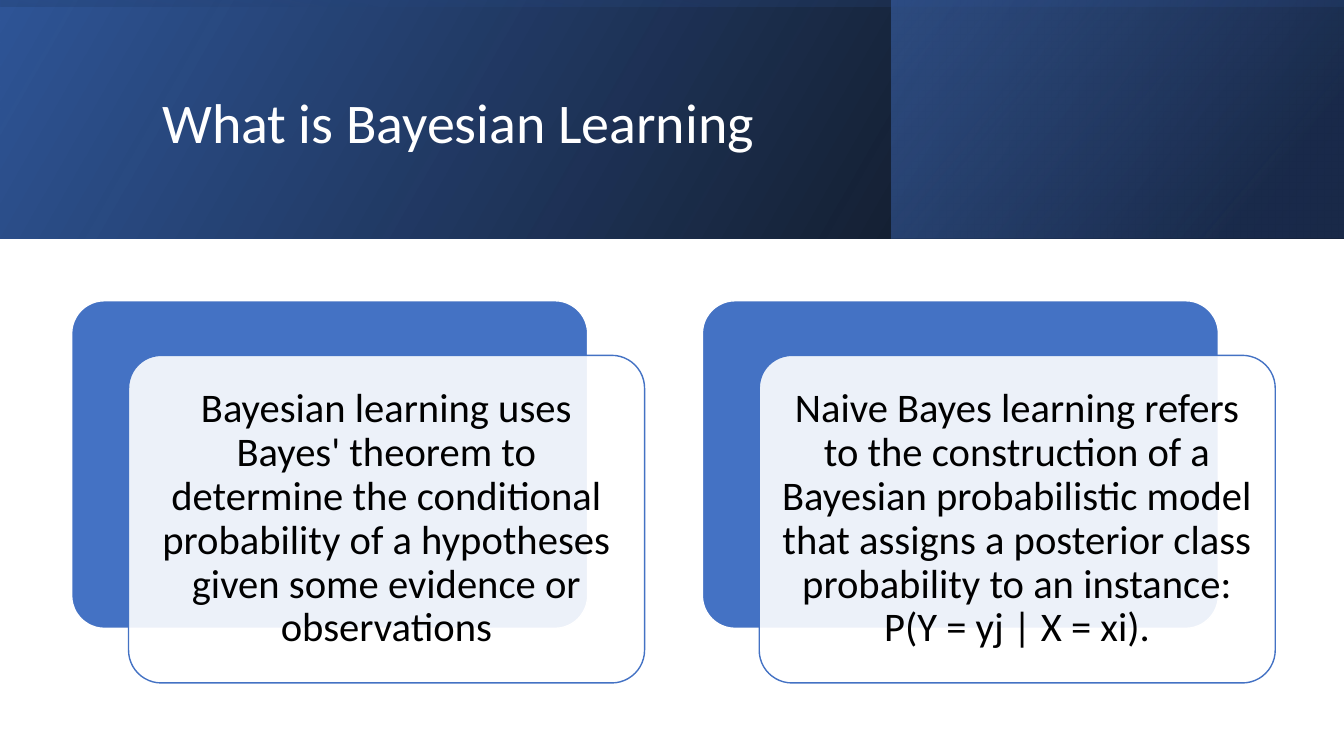
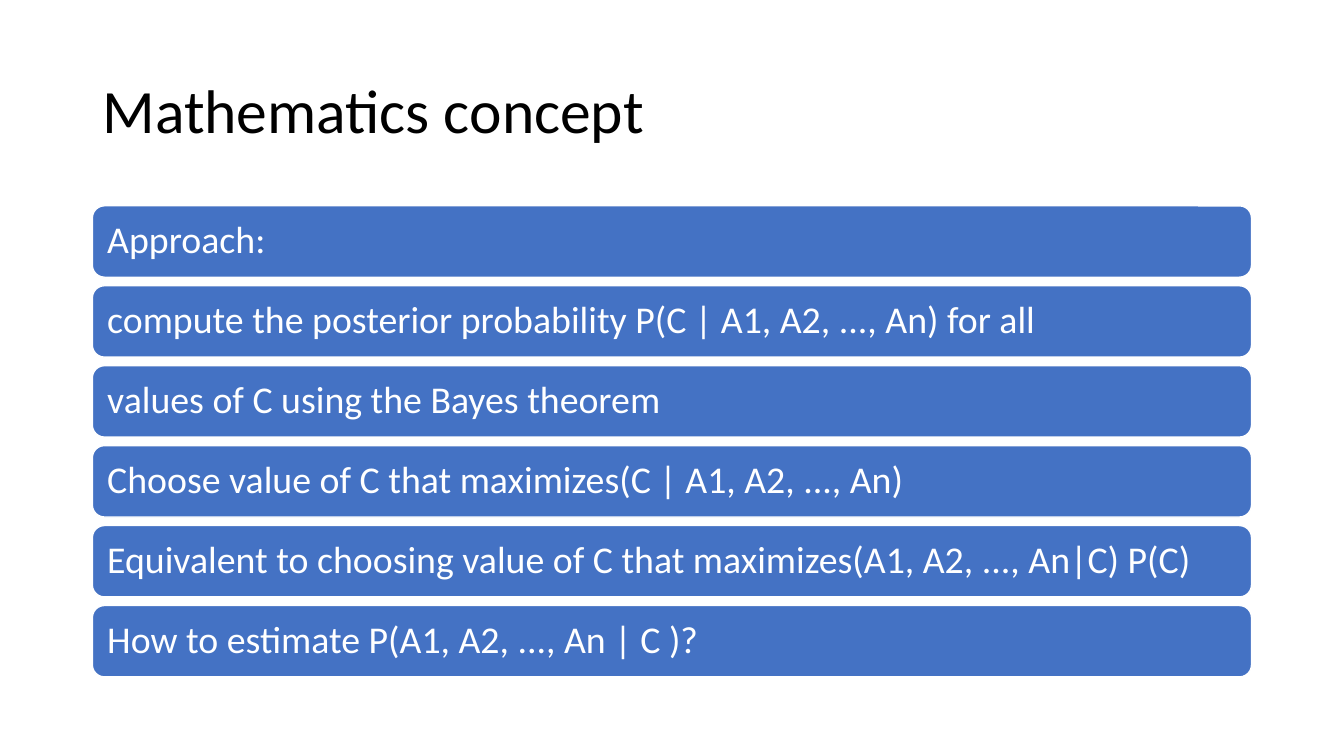
"""Build two slides on Bayesian learning: a card pair and a stack of bars."""
import dataclasses

import pptx
import pptx.dml.color
import pptx.enum.shapes
import pptx.enum.text
import pptx.oxml
import pptx.oxml.ns
import pptx.util

Pt = pptx.util.Pt
qn = pptx.oxml.ns.qn
KIND = pptx.enum.shapes.MSO_SHAPE
ALIGN = pptx.enum.text.PP_ALIGN


@dataclasses.dataclass(frozen=True)
class Theme:
    width: float = 960
    height: float = 540
    band: float = 170.6
    font: str = "Calibri"
    white: str = "FFFFFF"
    black: str = "000000"
    blue: str = "4472C4"
    deep: str = "2F5597"
    navy: str = "203864"
    lead: float = 40
    head: float = 44
    card: float = 29
    bar: float = 27


LOOK = Theme()

CARDS = [
    "Bayesian learning uses Bayes' theorem to determine the conditional "
    "probability of a hypotheses given some evidence or observations",
    "Naive Bayes learning refers to the construction of a Bayesian probabilistic "
    "model that assigns a posterior class probability to an instance: "
    "P(Y = yj | X = xi).",
]
BARS = [
    "Approach:",
    "compute the posterior probability P(C | A1, A2, ..., An) for all",
    "values of C using the Bayes theorem",
    "Choose value of C that maximizes(C | A1, A2, ..., An)",
    "Equivalent to choosing value of C that maximizes(A1, A2, ..., An|C) P(C)",
    "How to estimate P(A1, A2, ..., An | C )?",
]


def tint(code):
    return pptx.dml.color.RGBColor.from_string(code)


def format_all(item, values):
    for name, value in values.items():
        setattr(item, name, value)


def place(shape, box):
    names = ("left", "top", "width", "height")
    format_all(shape, dict(zip(names, map(Pt, box))))


def write(shape, text, size, ink, align=ALIGN.LEFT, inset=7.2):
    frame = shape.text_frame
    frame.text = text
    format_all(frame, {
        "word_wrap": True,
        "auto_size": pptx.enum.text.MSO_AUTO_SIZE.NONE,
        "vertical_anchor": pptx.enum.text.MSO_ANCHOR.MIDDLE,
    })
    sides = ("left", "top", "right", "bottom")
    format_all(frame, {f"margin_{side}": Pt(inset) for side in sides})
    para = frame.paragraphs[0]
    format_all(para, {"alignment": align, "line_spacing": 0.9})
    font = para.runs[0].font
    format_all(font, {"name": LOOK.font, "size": Pt(size), "bold": False})
    font.color.rgb = tint(ink)


def fade(shape, levels):
    colors = shape.element.spPr.iter(qn("a:srgbClr"))
    for color, level in zip(list(colors), levels):
        alpha = pptx.oxml.parse_xml(
            f'<a:alpha {pptx.oxml.ns.nsdecls("a")} val="{level * 1000}"/>')
        color.append(alpha)


def add_shape(slide, kind, box):
    shape = slide.shapes.add_shape(kind, *map(Pt, box))
    shape.shadow.inherit = False
    return shape


def add_round(slide, box, fill, line, curve, opaque=100):
    shape = add_shape(slide, KIND.ROUNDED_RECTANGLE, box)
    shape.adjustments[0] = curve
    shape.fill.solid()
    shape.fill.fore_color.rgb = tint(fill)
    if opaque < 100:
        fade(shape, [opaque])
    shape.line.color.rgb = tint(line)
    shape.line.width = Pt(1)
    return shape


def add_band(slide, box, stops, angle, turn=0):
    shape = add_shape(slide, KIND.RECTANGLE, box)
    shape.fill.gradient()
    shape.fill.gradient_angle = angle
    for stop, (spot, color, _) in zip(shape.fill.gradient_stops, stops):
        stop.position = spot
        stop.color.rgb = tint(color)
    fade(shape, [level for _, _, level in stops])
    shape.line.fill.background()
    shape.rotation = turn
    shape.element.spPr.xfrm.set("flipH", "1")


def add_title(slide, text, box, size, ink):
    title = slide.shapes.title
    place(title, box)
    write(title, text, size, ink)
    title.element.getparent().append(title.element)


def add_header(slide):
    wide, high, split = LOOK.width, LOOK.band, 636.6
    shift = (wide - high) / 2
    add_band(slide, (0, 0, wide, high),
             [(0, LOOK.black, 96), (1, LOOK.deep, 100)], 30)
    add_band(slide, (split, 0, wide - split, high),
             [(0.19, LOOK.navy, 68), (1, LOOK.blue, 48)], 40)
    add_band(slide, (shift, -shift, high, wide),
             [(0.23, LOOK.deep, 16), (0.99, LOOK.black, 45)], 10, 270)


def add_card(slide, left, top, text):
    wide, high = 368.6, 234
    add_round(slide, (left, top, wide, high), LOOK.blue, LOOK.white, 0.1)
    front = add_round(slide, (left + 40.6, top + 39, wide, high),
                      LOOK.white, LOOK.blue, 0.1, 90)
    write(front, text, LOOK.card, LOOK.black, ALIGN.CENTER, 8.7)


def add_bar(slide, top, text):
    bar = add_round(slide, (66, top, 828, 51), LOOK.blue, LOOK.white, 0.17)
    write(bar, text, LOOK.bar, LOOK.white, inset=8.1)


def main():
    deck = pptx.Presentation()
    format_all(deck, {"slide_width": Pt(LOOK.width),
                      "slide_height": Pt(LOOK.height)})
    layout = deck.slide_layouts[5]

    slide = deck.slides.add_slide(layout)
    add_header(slide)
    add_title(slide, "What is Bayesian Learning",
              (108.7, 27.4, 765.4, 123.8), LOOK.lead, LOOK.white)
    for index, text in enumerate(CARDS):
        add_card(slide, 51.2 + index * 450.5, 214.8, text)

    slide = deck.slides.add_slide(layout)
    add_title(slide, "Mathematics concept",
              (66, 28.8, 828, 104.4), LOOK.head, LOOK.black)
    for index, text in enumerate(BARS):
        add_bar(slide, 147 + index * 57.1, text)

    deck.save("out.pptx")


if __name__ == "__main__":
    main()
